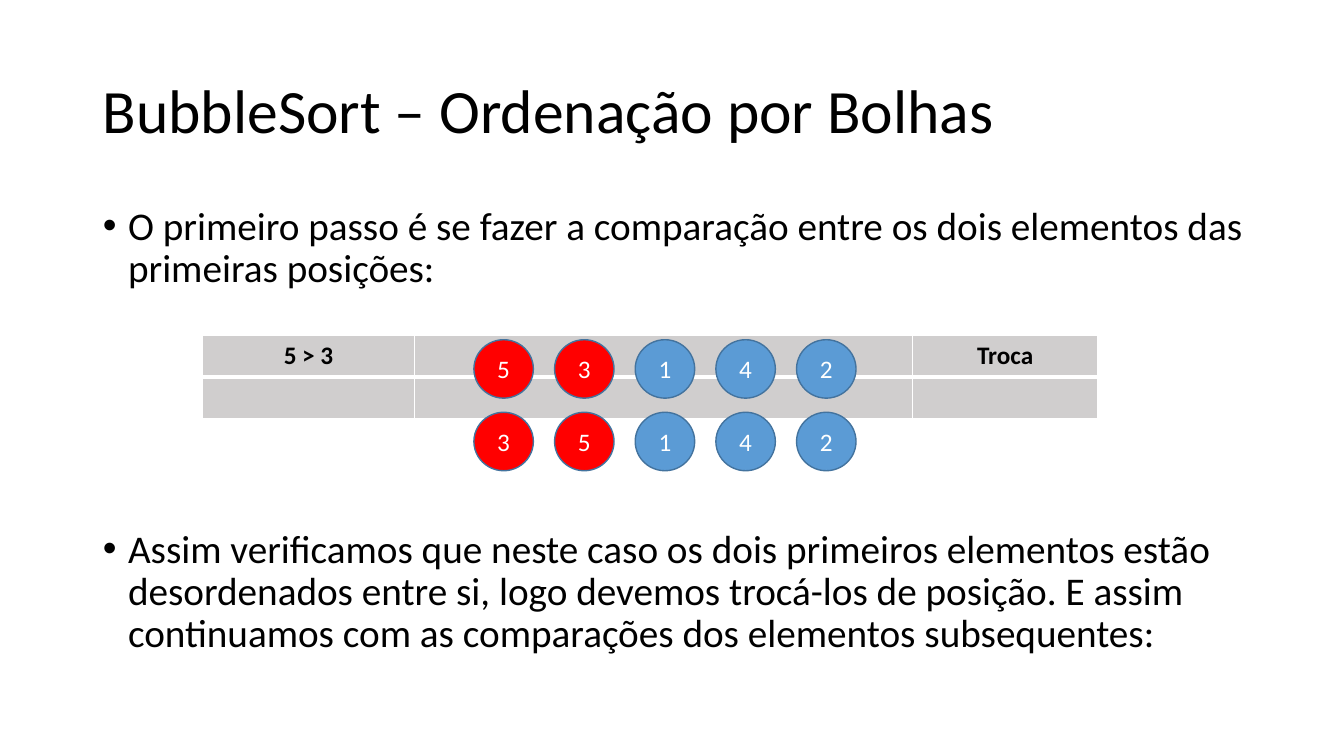
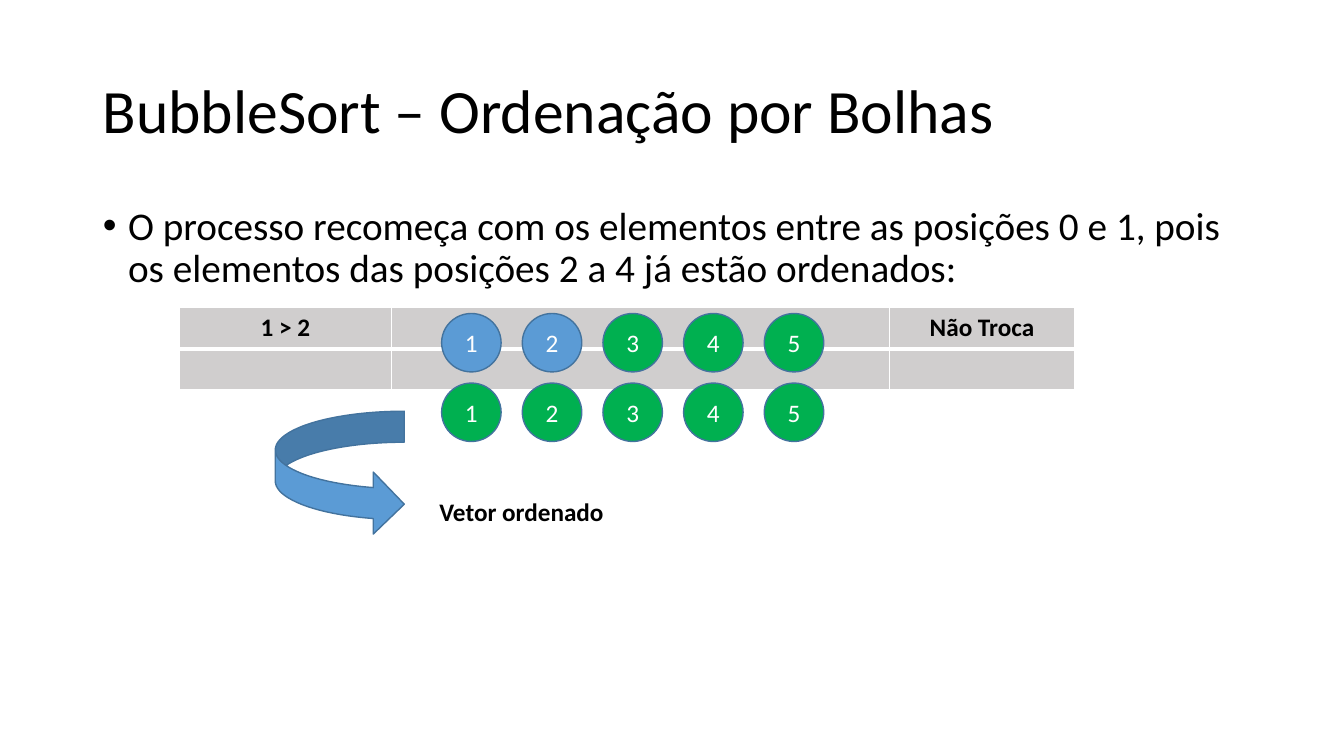
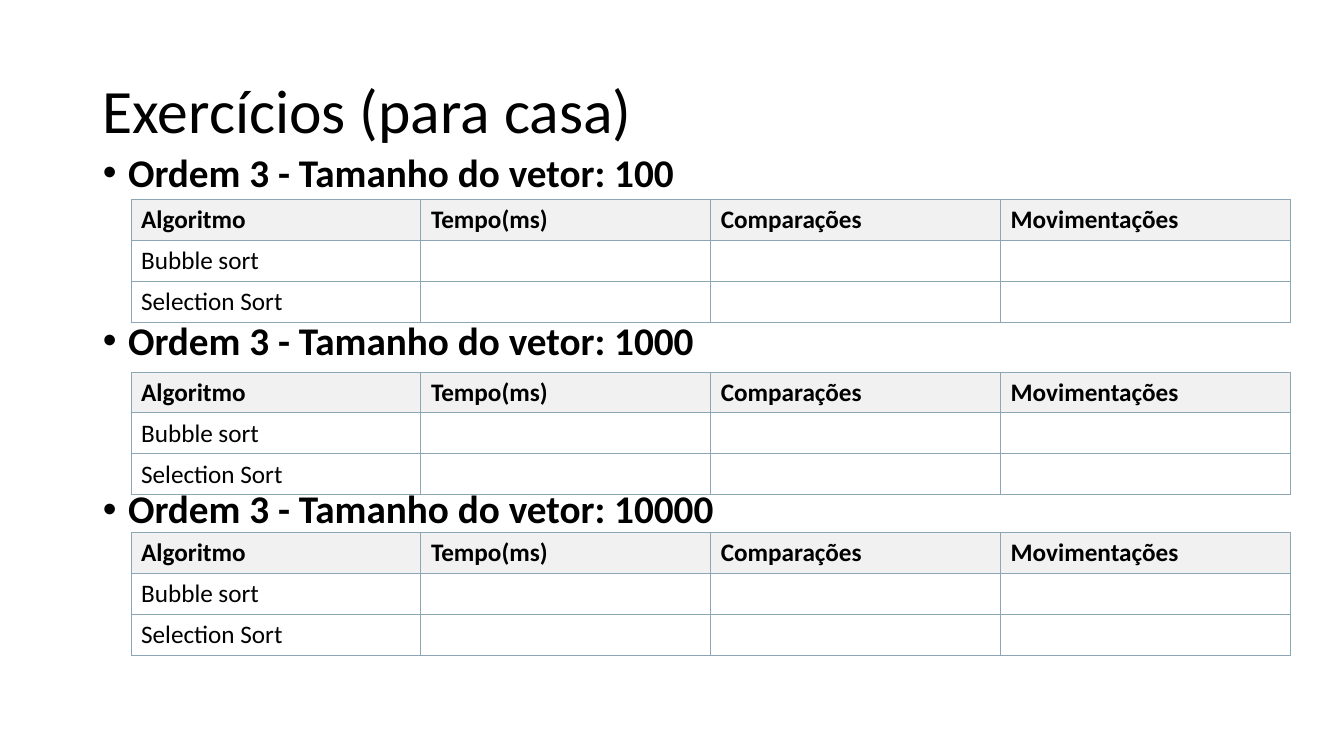
from lxml.etree import SubElement
from pptx import Presentation
from pptx.dml.color import RGBColor
from pptx.enum.shapes import MSO_SHAPE
from pptx.enum.text import MSO_ANCHOR, MSO_AUTO_SIZE, PP_ALIGN
from pptx.oxml.ns import qn
from pptx.util import Inches, Pt

FONT = "Calibri"
BLACK = RGBColor(0x00, 0x00, 0x00)
WHITE = RGBColor(0xFF, 0xFF, 0xFF)
RED = RGBColor(0xFF, 0x00, 0x00)
BLUE = RGBColor(0x5B, 0x9B, 0xD5)
GREEN = RGBColor(0x00, 0xB0, 0x50)
OUTLINE = RGBColor(0x43, 0x73, 0x9E)
STEP_GRAY = RGBColor(0xD0, 0xCE, 0xCE)
HEADER_GRAY = RGBColor(0xF1, 0xF1, 0xF1)
GRID_BLUE = RGBColor(0x8C, 0xA6, 0xB5)


def style_text(paragraph, size, bold=False, color=BLACK, align=PP_ALIGN.LEFT):
    paragraph.alignment = align
    for run in paragraph.runs:
        run.font.name = FONT
        run.font.size = Pt(size)
        run.font.bold = bold
        run.font.color.rgb = color


def style_cell(cell, fill, line, width, bottom_width):
    # Borders come before the fill in the cell properties
    properties = cell._tc.get_or_add_tcPr()
    for side in ("lnL", "lnR", "lnT", "lnB"):
        points = bottom_width if side == "lnB" else width
        border = SubElement(properties, qn(f"a:{side}"), w=str(Pt(points)))
        solid = SubElement(border, qn("a:solidFill"))
        SubElement(solid, qn("a:srgbClr"), val=str(line))
    if fill is None:
        cell.fill.background()
    else:
        cell.fill.solid()
        cell.fill.fore_color.rgb = fill


prs = Presentation()
prs.slide_width, prs.slide_height = Inches(13.33), Inches(7.5)

# Shared title and body places
layout = prs.slide_layouts[1]
for placeholder, top, height in zip(layout.placeholders, (0.4, 2), (1.45, 4.76)):
    placeholder.left, placeholder.width = Inches(0.92), Inches(11.5)
    placeholder.top, placeholder.height = Inches(top), Inches(height)

# Title, bullets, body top, body height, space between bullets, bold bullets
SORT_TITLE = "BubbleSort – Ordenação por Bolhas"
contents = [
    (SORT_TITLE,
     ["O primeiro passo é se fazer a comparação entre os dois elementos das "
      "primeiras posições:",
      "Assim verificamos que neste caso os dois primeiros elementos estão "
      "desordenados entre si, logo devemos trocá-los de posição. E assim "
      "continuamos com as comparações dos elementos subsequentes:"],
     2, 4.76, 170, False),
    (SORT_TITLE,
     ["O processo recomeça com os elementos entre as posições 0 e 1, pois os "
      "elementos das posições 2 a 4 já estão ordenados:"],
     2, 1.02, 10, False),
    ("Exercícios (para casa)",
     [f"Ordem 3 - Tamanho do vetor: {size}" for size in (100, 1000, 10000)],
     1.47, 4.76, 90, True),
]
slides = []
for title, bullets, top, height, gap, bold in contents:
    slide = prs.slides.add_slide(layout)
    slides.append(slide)
    heading = slide.shapes.title.text_frame
    heading.text = title
    heading.vertical_anchor = MSO_ANCHOR.MIDDLE
    heading.paragraphs[0].line_spacing = 0.9
    style_text(heading.paragraphs[0], 44)

    body = slide.placeholders[1]
    body.left, body.top = Inches(0.92), Inches(top)
    body.width, body.height = Inches(11.5), Inches(height)
    body.text_frame.text = "\n".join(bullets)
    body.text_frame.auto_size = MSO_AUTO_SIZE.NONE
    for index, bullet in enumerate(body.text_frame.paragraphs):
        style_text(bullet, 28, bold)
        bullet.line_spacing = 0.9
        bullet.space_before = Pt(gap if index else 10)
        indent = bullet._p.get_or_add_pPr()
        indent.set("marL", str(Inches(0.25)))
        indent.set("indent", str(Inches(-0.25)))

# Comparison steps: table place, labels, then rows of balls
first_step, last_step, exercises = slides
steps = [
    (first_step, 2.01, 3.33, "5 > 3", "Troca", 4.7,
     [(3.37, "53142", [RED] * 2 + [BLUE] * 3),
      (4.09, "35142", [RED] * 2 + [BLUE] * 3)]),
    (last_step, 1.78, 3.05, "1 > 2", "Não Troca", 4.38,
     [(3.11, "12345", [BLUE] * 2 + [GREEN] * 3),
      (3.8, "12345", [GREEN] * 5)]),
]
for slide, left, top, comparison, action, balls_left, ball_rows in steps:
    table = slide.shapes.add_table(2, 3, Inches(left), Inches(top),
                                   Inches(8.88), Inches(0.82)).table
    table.first_row = table.horz_banding = False
    for column, width in zip(table.columns, (2.1, 4.94, 1.84)):
        column.width = Inches(width)
    for row, bottom_width in enumerate((3, 1)):
        for cell in table.rows[row].cells:
            style_cell(cell, STEP_GRAY, WHITE, 1, bottom_width)
    for column, label in ((0, comparison), (2, action)):
        frame = table.cell(0, column).text_frame
        frame.text = label
        style_text(frame.paragraphs[0], 18, True, align=PP_ALIGN.CENTER)

    for ball_top, digits, colors in ball_rows:
        for position, (digit, color) in enumerate(zip(digits, colors)):
            ball = slide.shapes.add_shape(
                MSO_SHAPE.OVAL, Inches(balls_left + 0.8 * position),
                Inches(ball_top), Inches(0.59), Inches(0.58))
            ball.shadow.inherit = False
            ball.fill.solid()
            ball.fill.fore_color.rgb = color
            ball.line.color.rgb = OUTLINE
            ball.line.width = Pt(1)
            ball.text_frame.text = digit
            ball.text_frame.vertical_anchor = MSO_ANCHOR.MIDDLE
            style_text(ball.text_frame.paragraphs[0], 18, color=WHITE,
                       align=PP_ALIGN.CENTER)

# Arrow to the sorted result
arrow = last_step.shapes.add_shape(MSO_SHAPE.CURVED_RIGHT_ARROW, Inches(2.73),
                                   Inches(4.08), Inches(1.28), Inches(1.23))
arrow.shadow.inherit = False
arrow.fill.solid()
arrow.fill.fore_color.rgb = BLUE
arrow.line.color.rgb = OUTLINE
arrow.line.width = Pt(1)
result = last_step.shapes.add_textbox(Inches(4.26), Inches(4.87),
                                      Inches(1.84), Inches(0.4)).text_frame
result.word_wrap = False
result.text = "Vetor ordenado"
style_text(result.paragraphs[0], 18, True)

# Exercise tables, one per vector size
exercise_rows = [
    ["Algoritmo", "Tempo(ms)", "Comparações", "Movimentações"],
    ["Bubble sort", "", "", ""],
    ["Selection Sort", "", "", ""],
]
for top in (1.98, 3.69, 5.28):
    table = exercises.shapes.add_table(3, 4, Inches(1.3), Inches(top),
                                       Inches(11.5), Inches(1.22)).table
    table.first_row = table.horz_banding = False
    for row, labels in enumerate(exercise_rows):
        for column, label in enumerate(labels):
            cell = table.cell(row, column)
            style_cell(cell, None if row else HEADER_GRAY, GRID_BLUE, 0.75, 0.75)
            cell.vertical_anchor = MSO_ANCHOR.MIDDLE
            if label:
                cell.text_frame.text = label
                style_text(cell.text_frame.paragraphs[0], 18, row == 0)

prs.save("out.pptx")
